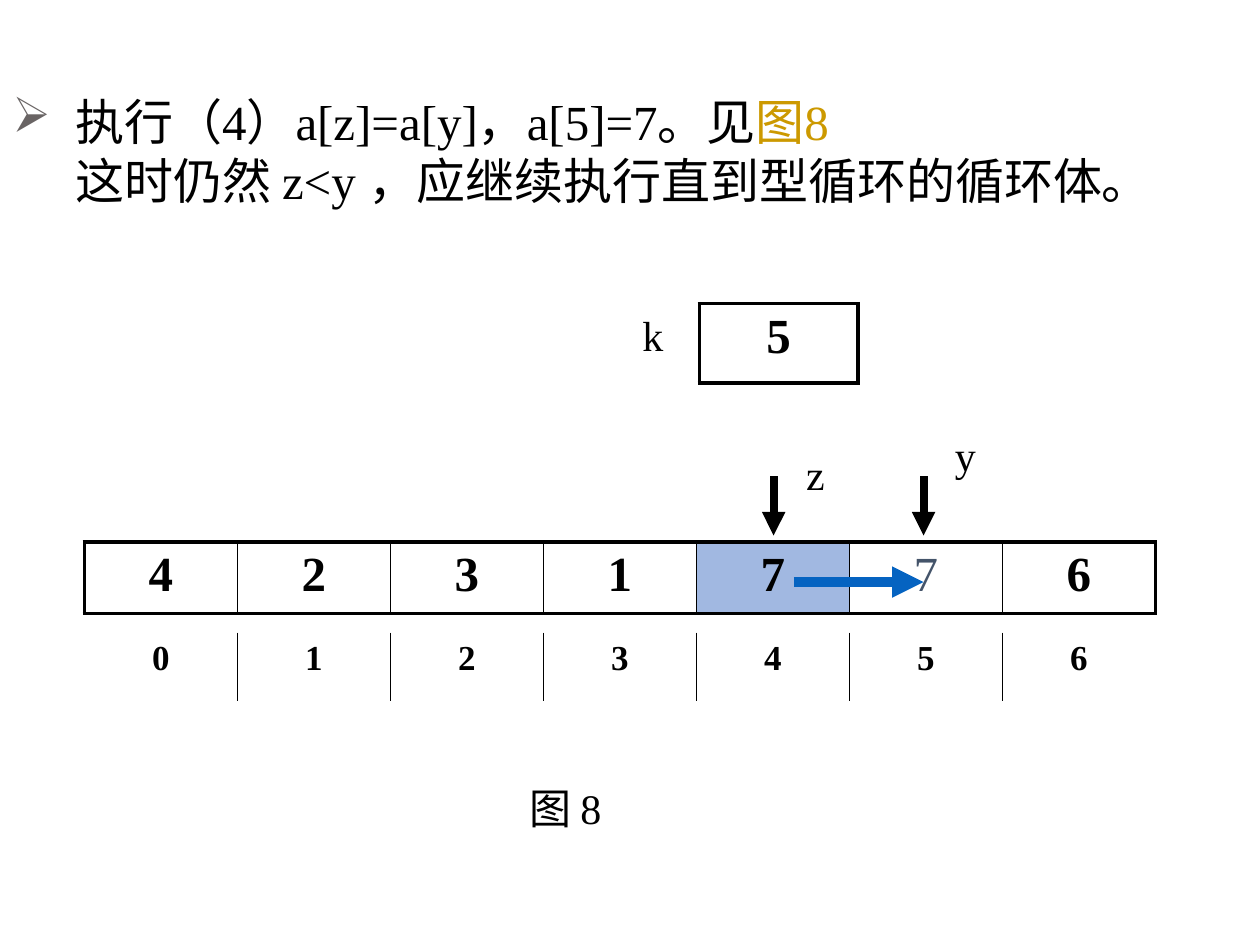
from lxml import etree
from pptx import Presentation
from pptx import util as u
from pptx.dml.color import RGBColor
from pptx.enum import shapes, text
from pptx.oxml.ns import qn

BLACK = RGBColor(0x00, 0x00, 0x00)
GOLD = RGBColor(0xCC, 0x99, 0x00)
SLATE = RGBColor(0x44, 0x54, 0x6A)
BLUE = RGBColor(0x05, 0x63, 0xC1)
HIGHLIGHT = RGBColor(0x44, 0x72, 0xC4)
FONT = "Times New Roman"
THICK, THIN, NONE = 2.25, 1, 0

presentation = Presentation()
presentation.slide_width = u.Inches(10)
presentation.slide_height = u.Inches(7.5)
slide = presentation.slides.add_slide(presentation.slide_layouts[6])


def format_font(font, size, color=BLACK, bold=False):
    font.name = FONT
    font.size = u.Pt(size)
    font.bold = bold
    font.color.rgb = color


def add_row(values, left, top, width, height, size, outer, top_bottom):
    frame = slide.shapes.add_table(
        1, len(values), u.Inches(left), u.Inches(top), u.Inches(width), u.Inches(height))
    table = frame.table
    table.first_row = table.horz_banding = False
    last = len(values) - 1
    for index, value in enumerate(values):
        table.columns[index].width = u.Inches(width / len(values))
        cell = table.cell(0, index)
        cell.fill.background()
        cell.text_frame.text = value
        paragraph = cell.text_frame.paragraphs[0]
        paragraph.alignment = text.PP_ALIGN.CENTER
        format_font(paragraph.runs[0].font, size, bold=True)
        borders = {"lnL": THIN if index else outer, "lnR": THIN if index < last else outer,
                   "lnT": top_bottom, "lnB": top_bottom}
        properties = cell._tc.get_or_add_tcPr()
        for position, (side, points) in enumerate(borders.items()):
            border = etree.Element(qn(f"a:{side}"), w=str(u.Pt(points)))
            if points:
                fill = etree.SubElement(border, qn("a:solidFill"))
                etree.SubElement(fill, qn("a:srgbClr"), val=str(BLACK))
            else:
                etree.SubElement(border, qn("a:noFill"))
            properties.insert(position, border)
    return table


heading = slide.shapes.add_textbox(0, u.Inches(0.68), u.Inches(10), u.Inches(1.03))
heading.text_frame.word_wrap = True
heading.text_frame.text = "执行（4）a[z]=a[y]，a[5]=7。见"
first = heading.text_frame.paragraphs[0]
first.add_run().text = "图8"
second = heading.text_frame.add_paragraph()
second.text = "这时仍然 z<y ，应继续执行直到型循环的循环体。"
for paragraph, indent in ((first, -0.5), (second, 0)):
    properties = paragraph._p.get_or_add_pPr()
    properties.set("marL", str(u.Inches(0.5)))
    properties.set("indent", str(u.Inches(indent)))
    for run in paragraph.runs:
        format_font(run.font, 28)
first.runs[1].font.color.rgb = GOLD
properties = first._p.get_or_add_pPr()
bullet_color = etree.SubElement(properties, qn("a:buClr"))
etree.SubElement(bullet_color, qn("a:srgbClr"), val="696464")
etree.SubElement(properties, qn("a:buChar"), char="➢")

array = add_row("4231776", 0.67, 4.3, 8.5, 0.55, 28, THICK, THICK)
add_row("0123456", 0.67, 5.02, 8.5, 0.54, 20, NONE, NONE)
add_row("5", 5.55, 2.41, 1.26, 0.63, 28, THICK, THICK)

source = array.cell(0, 4)
source.fill.solid()
source.fill.fore_color.rgb = HIGHLIGHT
color = source._tc.tcPr.find(qn("a:solidFill")).find(qn("a:srgbClr"))
etree.SubElement(color, qn("a:alpha"), val="50000")
target = array.cell(0, 5).text_frame.paragraphs[0].runs[0]
format_font(target.font, 28, SLATE)

for label, left, top, width in (
        ("z", 6.3, 3.51, 0.43), ("y", 7.48, 3.36, 0.43),
        ("图 8", 4.1, 6.16, 1.22), ("k", 5, 2.41, 0.87)):
    box = slide.shapes.add_textbox(u.Inches(left), u.Inches(top), u.Inches(width), u.Inches(0.5))
    box.text_frame.word_wrap = True
    box.text_frame.text = label
    format_font(box.text_frame.paragraphs[0].runs[0].font, 24)

for start_x, start_y, end_x, end_y, color, weight in (
        (6.14, 3.78, 6.14, 4.25, BLACK, 4.5),
        (7.33, 3.78, 7.33, 4.25, BLACK, 4.5),
        (6.3, 4.62, 7.33, 4.62, BLUE, 6)):
    arrow = slide.shapes.add_connector(
        shapes.MSO_CONNECTOR.STRAIGHT,
        u.Inches(start_x), u.Inches(start_y), u.Inches(end_x), u.Inches(end_y))
    arrow.line.color.rgb = color
    arrow.line.width = u.Pt(weight)
    etree.SubElement(arrow.line._get_or_add_ln(), qn("a:tailEnd"), type="triangle")
    etree.SubElement(arrow._element.spPr, qn("a:effectLst"))

presentation.save("out.pptx")
